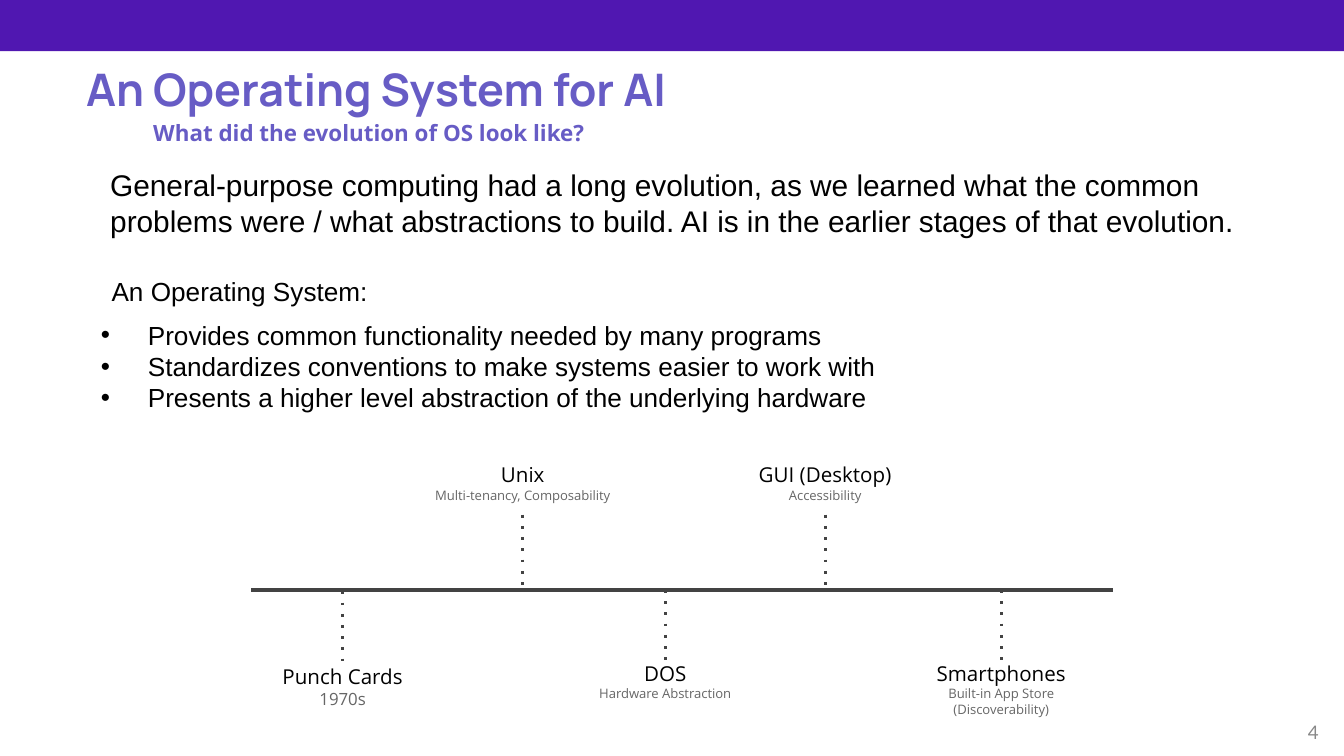
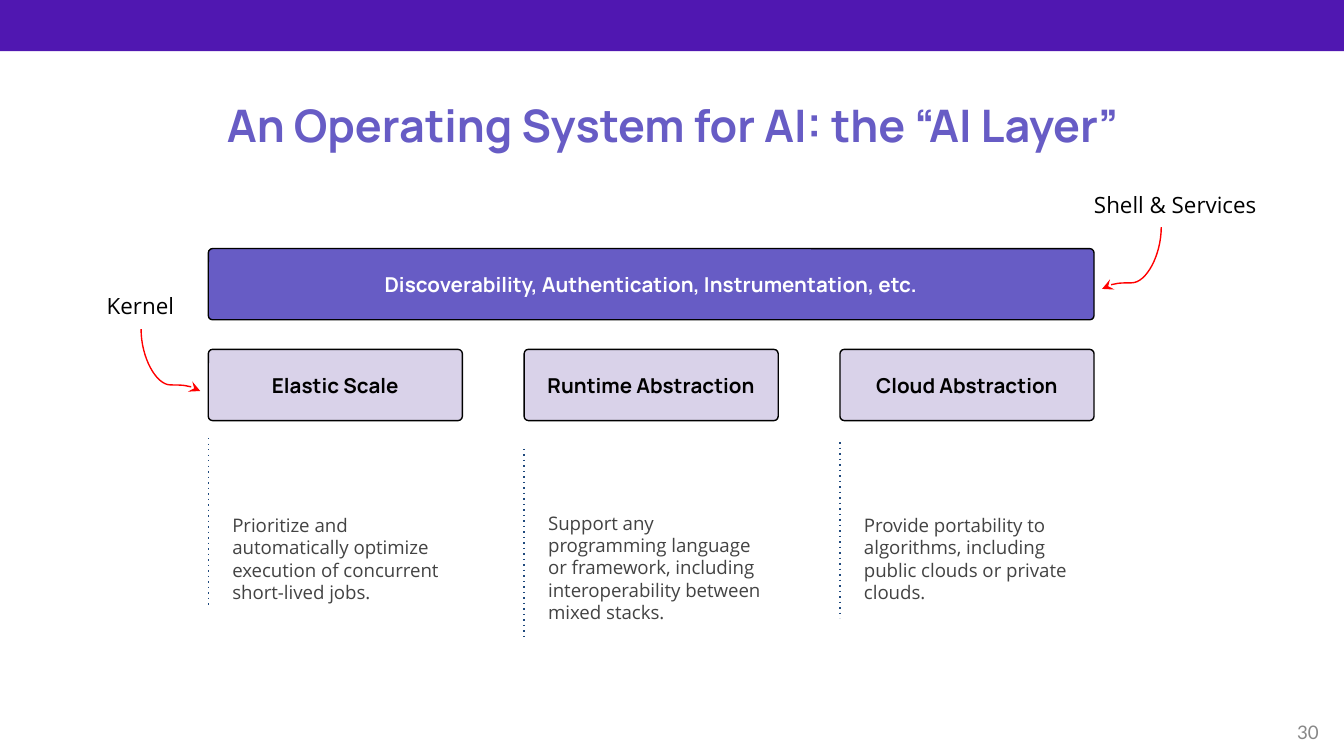
from lxml import etree
from pptx import Presentation
from pptx import util as u
from pptx.dml import color
from pptx.enum import shapes, text
from pptx.oxml import ns

rgb = color.RGBColor.from_string
LEFT, MID, RIGHT = text.PP_ALIGN.LEFT, text.PP_ALIGN.CENTER, text.PP_ALIGN.RIGHT
TOP, CORE, BASE = (text.MSO_ANCHOR.TOP, text.MSO_ANCHOR.MIDDLE,
                   text.MSO_ANCHOR.BOTTOM)
HEAD, SANS = "Manrope", "Open Sans"
BAND, VIOLET, LILAC = "5017B1", "675CC5", "D9D2E9"
BLACK, WHITE, DARK, GREY, PALE = "000000", "FFFFFF", "434343", "666666", "888888"
NAVY, RED = "1F497D", "FF0000"


def write(box, at, rows, align=MID, anchor=TOP, pad=0.1):
    """Place a shape and fill it; a row is text, size, font, colour, bold."""
    box.left, box.top, box.width, box.height = map(u.Inches, at)
    frame = box.text_frame
    frame.word_wrap = True
    frame.auto_size = text.MSO_AUTO_SIZE.NONE
    frame.vertical_anchor = anchor
    frame.margin_left = frame.margin_right = u.Inches(0.1)
    frame.margin_top = frame.margin_bottom = u.Inches(pad)
    for i, (words, size, face, ink, bold) in enumerate(rows):
        para = frame.add_paragraph() if i else frame.paragraphs[0]
        para.alignment = align
        para.line_spacing = 1.0
        para.space_before = u.Pt(0)
        run = para.add_run()
        run.text = words
        run.font.size = u.Pt(size)
        run.font.name = face
        run.font.bold = bold
        run.font.color.rgb = rgb(ink)
    return frame.paragraphs


def link(slide, ends, ink, width, dots=False,
         kind=shapes.MSO_CONNECTOR.STRAIGHT):
    """Draw a connector without shadow, dotted on request."""
    wire = slide.shapes.add_connector(kind, *map(u.Inches, ends))
    wire.line.color.rgb = rgb(ink)
    wire.line.width = u.Pt(width)
    prop = wire._element.spPr
    if dots:
        etree.SubElement(prop.find(ns.qn("a:ln")), ns.qn("a:prstDash"), val="dot")
    etree.SubElement(prop, ns.qn("a:effectLst"))
    return prop


deck = Presentation()
deck.slide_width = u.Inches(10)
deck.slide_height = deck.slide_width * 9 // 16

# Shared parts: band and page number
pages = []
for layout, num in ((1, "4"), (5, "30")):
    slide = deck.slides.add_slide(deck.slide_layouts[layout])
    band = slide.shapes.add_shape(shapes.MSO_SHAPE.RECTANGLE, 0, 0,
                                  deck.slide_width, u.Inches(0.38))
    band.shadow.inherit = False
    band.fill.solid()
    band.fill.fore_color.rgb = rgb(BAND)
    band.line.fill.background()
    write(slide.shapes.add_textbox(0, 0, 0, 0), (7.58, 5.3, 2.33, 0.3),
          [(num, 10, "Lato", PALE, False)], RIGHT, CORE, 0.05)
    pages.append(slide)
past, layer = pages

# Slide 1: title and subtitle
paras = write(past.shapes.title, (0.54, 0.36, 4.52, 0.77), [
    ("An Operating System for AI", 24, HEAD, VIOLET, True),
    ("What did the evolution of OS look like?", 12, SANS, VIOLET, True)], LEFT)
paras[1].line_spacing = 1.15
paras[1]._p.get_or_add_pPr().set("indent", str(u.Inches(0.5)))

# Slide 1: body with margin, indent, space before and bullet
body = [
    ("General-purpose computing had a long evolution, as we learned what the "
     "common problems were / what abstractions to build. AI is in the earlier "
     "stages of that evolution.", 16, 0.22, 0, 0, False),
    ("An Operating System:", 14, 0.38, -0.15, 20, False),
    ("Provides common functionality needed by many programs",
     14, 0.5, -0.35, 6.4, True),
    ("Standardizes conventions to make systems easier to work with",
     14, 0.5, -0.35, 0, True),
    ("Presents a higher level abstraction of the underlying hardware",
     14, 0.5, -0.35, 0, True)]
paras = write(past.placeholders[1], (0.5, 1.14, 9, 2.34),
              [(row[0], row[1], "Arial", BLACK, False) for row in body], LEFT)
for para, (_, _, left, hang, gap, dot) in zip(paras, body):
    para.space_before = u.Pt(gap)
    prop = para._p.get_or_add_pPr()
    prop.set("marL", str(u.Inches(left)))
    prop.set("indent", str(u.Inches(hang)))
    if dot:
        tint = etree.SubElement(prop, ns.qn("a:buClr"))
        etree.SubElement(tint, ns.qn("a:srgbClr"), val=BLACK)
        etree.SubElement(prop, ns.qn("a:buFont"), typeface="Arial")
        etree.SubElement(prop, ns.qn("a:buChar"), char="•")
    else:
        etree.SubElement(prop, ns.qn("a:buNone"))

# Slide 1: timeline, with the stem's middle, its top, the label's top
link(past, (8.28, 4.39, 1.87, 4.39), DARK, 2.25)
for mid, stem, top, name, size, notes in (
        (2.55, 4.4, 4.84, "Punch Cards", 9, ["1970s"]),
        (3.89, 3.83, 3.34, "Unix", 7, ["Multi-tenancy, Composability"]),
        (4.95, 4.39, 4.82, "DOS", 7, ["Hardware Abstraction"]),
        (6.14, 3.83, 3.34, "GUI (Desktop)", 7, ["Accessibility"]),
        (7.45, 4.39, 4.82, "Smartphones", 7,
         ["Built-in App Store", "(Discoverability)"])):
    link(past, (mid, stem, mid, stem + 0.55), DARK, 1.5, True)
    write(past.shapes.add_textbox(0, 0, 0, 0), (mid - 0.83, top, 1.66, 0.57),
          [(name, 11, SANS, BLACK, False)]
          + [(note, size, SANS, GREY, False) for note in notes])

# Slide 2: title
write(layer.shapes.title, (0.32, 0.63, 9.37, 0.53),
      [("An Operating System for AI: the “AI Layer”", 24, HEAD, VIOLET, True)])

# Slide 2: service bar over three kernel blocks
cols = [1.55 + 2.35 * i for i in range(3)]
for left, top, wide, name, fill, ink in (
        (cols[0], 1.85, 6.59,
         "Discoverability, Authentication, Instrumentation, etc.", VIOLET, WHITE),
        (cols[0], 2.6, 1.89, "Elastic Scale", LILAC, BLACK),
        (cols[1], 2.6, 1.89, "Runtime Abstraction", LILAC, BLACK),
        (cols[2], 2.6, 1.89, "Cloud Abstraction", LILAC, BLACK)):
    block = layer.shapes.add_shape(shapes.MSO_SHAPE.ROUNDED_RECTANGLE, 0, 0, 0, 0)
    block.adjustments[0] = 0.06
    block.shadow.inherit = False
    block.fill.solid()
    block.fill.fore_color.rgb = rgb(fill)
    block.line.color.rgb = rgb(BLACK)
    block.line.width = u.Pt(0.75)
    write(block, (left, top, wide, 0.53), [(name, 11, HEAD, ink, True)],
          MID, CORE)

# Slide 2: dotted rule and note under each block
for left, start, end, top, base, words in (
        (cols[0], 3.26, 4.51, 3.33, 4.59, "Prioritize and automatically optimize "
         "execution of concurrent short-lived jobs."),
        (cols[1], 3.34, 4.74, 3.42, 4.74, "Support any programming language or "
         "framework, including interoperability between mixed stacks."),
        (cols[2], 3.29, 4.6, 3.36, 4.59, "Provide portability to algorithms, "
         "including public clouds or private clouds.")):
    link(layer, (left, start, left, end), NAVY, 0.75, True)
    write(layer.shapes.add_textbox(0, 0, 0, 0),
          (left + 0.08, top, 1.81, base - top),
          [(words, 10, SANS, DARK, False)], LEFT, BASE)

# Slide 2: callouts with curved arrows, turned to leave downwards
for name, at, ends, turn in (
        ("Shell & Services", (7.99, 1.32, 1.51, 0.38), (8.19, 1.7, 8.65, 2.14), 90),
        ("Kernel", (0.39, 2.07, 1.31, 0.38), (1.5, 2.46, 1.04, 2.9), 270)):
    write(layer.shapes.add_textbox(0, 0, 0, 0), at,
          [(name, 12, SANS, BLACK, False)])
    prop = link(layer, ends, RED, 0.75, kind=shapes.MSO_CONNECTOR.CURVE)
    prop.find(ns.qn("a:xfrm")).set("rot", str(turn * 60000))
    geom = prop.find(ns.qn("a:prstGeom"))
    bends = geom.find(ns.qn("a:avLst"))
    if bends is None:
        bends = etree.SubElement(geom, ns.qn("a:avLst"))
    etree.SubElement(bends, ns.qn("a:gd"), name="adj1", fmla="val 90200")
    etree.SubElement(prop.find(ns.qn("a:ln")), ns.qn("a:tailEnd"), type="stealth")

deck.save("out.pptx")
